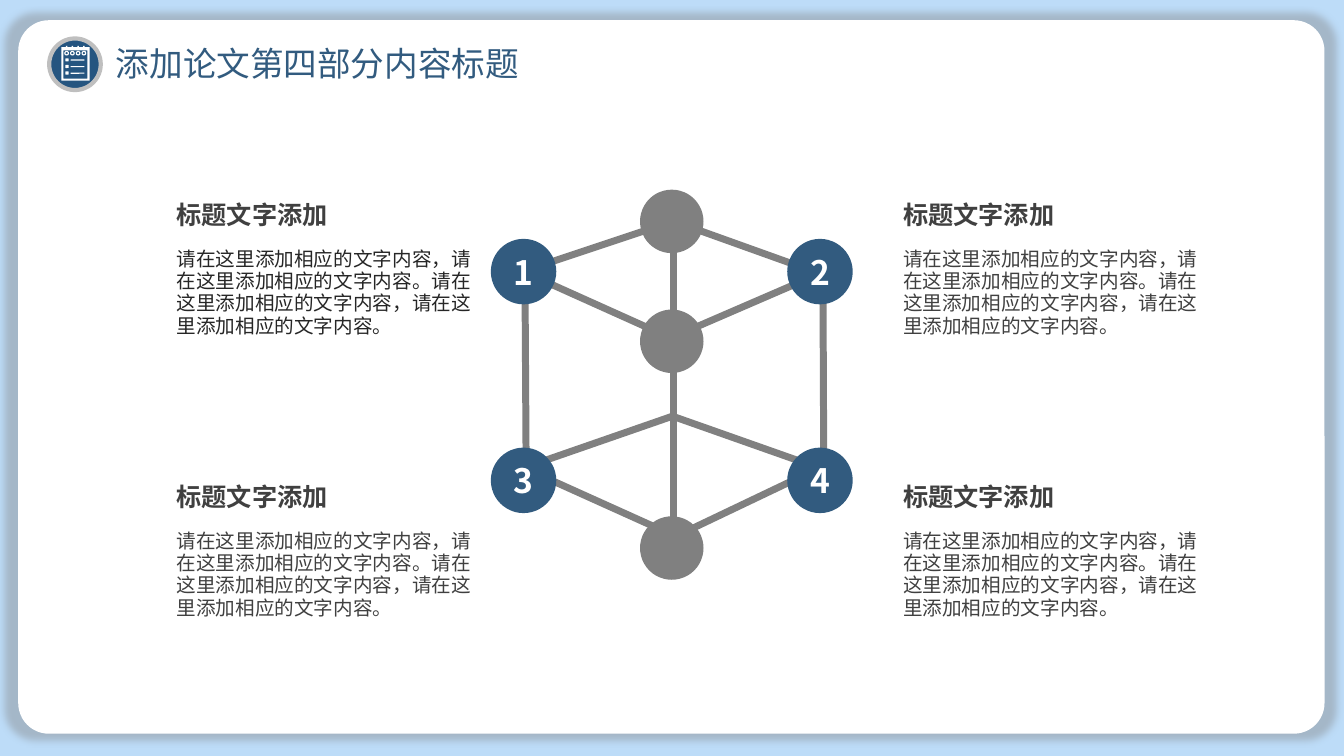
from lxml.etree import SubElement
from pptx import Presentation
from pptx.dml.color import RGBColor
from pptx.enum.shapes import MSO_CONNECTOR, MSO_SHAPE
from pptx.enum.text import MSO_ANCHOR, MSO_AUTO_SIZE, PP_ALIGN
from pptx.oxml.ns import qn
from pptx.util import Cm, Pt

COLORS = {
    "sky": "BDDCF8", "white": "FFFFFF", "navy": "325B7F", "badge": "255580",
    "rim": "BFBFBF", "gray": "808080", "heading": "404040", "ink": "262626",
}
SANS_SC = "Noto Sans CJK SC"
SANS_JP = "Noto Sans CJK JP"
FORMATS = {
    "title": {"name": SANS_JP, "size": Pt(24), "bold": False},
    "heading": {"name": SANS_SC, "size": Pt(18), "bold": True},
    "body": {"name": SANS_SC, "size": Pt(14), "bold": False},
    "number": {"name": SANS_SC, "size": Pt(24), "bold": True},
}
BODY = "请在这里添加相应的文字内容，请在这里添加相应的文字内容。" * 2


def rgb(color):
    return RGBColor.from_string(COLORS[color])


def assign(target, values):
    for name, value in values.items():
        setattr(target, name, value)


class SlideBuilder:
    def __init__(self, slide):
        self.slide = slide
        self.canvas = slide.shapes

    def start_group(self):
        self.canvas = self.slide.shapes.add_group_shape().shapes

    def end_group(self):
        self.canvas = self.slide.shapes

    def paint(self, shape, color, rim=None):
        shape.shadow.inherit = False
        shape.fill.solid()
        shape.fill.fore_color.rgb = rgb(color)
        if rim:
            shape.line.color.rgb = rgb(rim)
            shape.line.width = Pt(3)
        else:
            shape.line.fill.background()
        return shape

    def shape(self, kind, left, top, width, height, color, rim=None, adjust=None):
        shape = self.canvas.add_shape(kind, Cm(left), Cm(top), Cm(width), Cm(height))
        if adjust is not None:
            shape.adjustments[0] = adjust
        return self.paint(shape, color, rim)

    def glow(self, shape):
        effects = shape._element.spPr.find(qn("a:effectLst"))
        shadow = SubElement(effects, qn("a:outerShdw"), blurRad=str(Pt(5)),
                            sx="102000", sy="102000", algn="ctr", rotWithShape="0")
        tint = SubElement(shadow, qn("a:srgbClr"), val=COLORS["gray"])
        SubElement(tint, qn("a:alpha"), val="40000")

    def outline(self, contours, color):
        contours = [[(Cm(x), Cm(y)) for x, y in contour] for contour in contours]
        builder = self.canvas.build_freeform(*contours[0][0])
        builder.add_line_segments(contours[0][1:])
        for contour in contours[1:]:
            builder.move_to(*contour[0])
            builder.add_line_segments(contour[1:])
        return self.paint(builder.convert_to_shape(), color)

    def edge(self, start, end):
        edge = self.canvas.add_connector(
            MSO_CONNECTOR.STRAIGHT, *(Cm(value) for value in (*start, *end)))
        edge.line.color.rgb = rgb("gray")
        edge.line.width = Pt(5)
        SubElement(edge._element.spPr, qn("a:effectLst"))

    def fill_text(self, frame, words, style, color, align=PP_ALIGN.LEFT, spacing=None,
                  insets=(0, 0)):
        side, end = (Cm(inset) for inset in insets)
        assign(frame, {"word_wrap": True, "margin_left": side, "margin_right": side,
                       "margin_top": end, "margin_bottom": end})
        paragraph = frame.paragraphs[0]
        assign(paragraph, {"alignment": align, "line_spacing": spacing})
        run = paragraph.add_run()
        run.text = words
        assign(run.font, FORMATS[style])
        run.font.color.rgb = rgb(color)
        SubElement(run._r.get_or_add_rPr(), qn("a:ea"), typeface=FORMATS[style]["name"])

    def text(self, left, top, width, height, *content, **layout):
        box = self.canvas.add_textbox(Cm(left), Cm(top), Cm(width), Cm(height))
        self.fill_text(box.text_frame, *content, **layout)
        box.text_frame.auto_size = MSO_AUTO_SIZE.SHAPE_TO_FIT_TEXT

    def node(self, left, top, number):
        frame = self.shape(MSO_SHAPE.OVAL, left, top, 1.65, 1.65, "navy").text_frame
        self.fill_text(frame, number, "number", "white", PP_ALIGN.CENTER)
        frame.vertical_anchor = MSO_ANCHOR.MIDDLE

    def notebook(self):
        rings = [1.68 + 0.145 * i for i in range(4)]
        cover = [(1.55, 1.19)]
        for x in rings:
            cover += [(x - 0.02, 1.19), (x - 0.02, 1.16), (x + 0.02, 1.16), (x + 0.02, 1.19)]
        cover += [(2.26, 1.19), (2.26, 2.03), (1.55, 2.03), (1.55, 1.19)]
        sheet = [(1.6, 1.27), (1.6, 1.98), (2.2, 1.98), (2.2, 1.27), (1.6, 1.27)]
        self.outline([cover, sheet], "white")
        for x in rings:
            self.shape(MSO_SHAPE.DONUT, x - 0.06, 1.28, 0.12, 0.12, "white", adjust=0.25)
        for row in range(3):
            top = 1.47 + 0.165 * row
            self.shape(MSO_SHAPE.ROUNDED_RECTANGLE, 1.65, top, 0.08, 0.08, "white")
            self.shape(MSO_SHAPE.ROUNDED_RECTANGLE, 1.78, top + 0.03, 0.35, 0.03, "white")


def main():
    deck = Presentation()
    deck.slide_width, deck.slide_height = Cm(33.87), Cm(19.05)
    page = SlideBuilder(deck.slides.add_slide(deck.slide_layouts[6]))

    page.shape(MSO_SHAPE.RECTANGLE, 0, 0, 33.87, 19.05, "sky")
    card = page.shape(MSO_SHAPE.ROUNDED_RECTANGLE, 0.46, 0.51, 32.92, 17.98, "white",
                      adjust=0.043)
    page.glow(card)
    page.text(2.59, 0.89, 11.3, 1.37, "添加论文第四部分内容标题", "title", "navy",
              insets=(0.33, 0.18))

    page.start_group()
    page.shape(MSO_SHAPE.OVAL, 1.24, 0.97, 1.3, 1.3, "badge", rim="rim")
    page.notebook()

    page.start_group()
    for start, end in [
        ((16.92, 5.59), (13.11, 6.86)),
        ((20.29, 11.96), (17.25, 13.41)),
        ((16.94, 10.49), (13.51, 11.68)),
        ((20.32, 7.04), (16.92, 8.51)),
        ((16.64, 13.34), (13.69, 12.01)),
        ((20.47, 11.73), (16.87, 10.46)),
        ((20.62, 6.88), (17.02, 5.59)),
        ((16.71, 8.43), (13.44, 6.96)),
        ((13.23, 7.04), (13.26, 11.91)),
        ((20.74, 7.04), (20.76, 11.91)),
        ((16.97, 5.94), (16.97, 13.46)),
    ]:
        page.edge(start, end)
    corners = [(left, top) for top in (6.02, 11.28) for left in (12.37, 19.84)]
    for number, (left, top) in enumerate(corners, 1):
        page.node(left, top, str(number))
    for top in (4.78, 7.8, 13.01):
        page.shape(MSO_SHAPE.OVAL, 16.13, top, 1.6, 1.6, "gray")
    page.end_group()

    for left, top, ink in [
        (4.45, 5.11, "ink"), (22.76, 5.11, "heading"),
        (4.45, 12.22, "heading"), (22.76, 12.22, "heading"),
    ]:
        page.text(left, top + 1.13, 7.8, 2.29, BODY, "body", ink, spacing=Pt(16))
        page.text(left, top, 4.01, 0.69, "标题文字添加", "heading", "heading",
                  spacing=Pt(19.2))

    deck.save("out.pptx")


if __name__ == "__main__":
    main()
